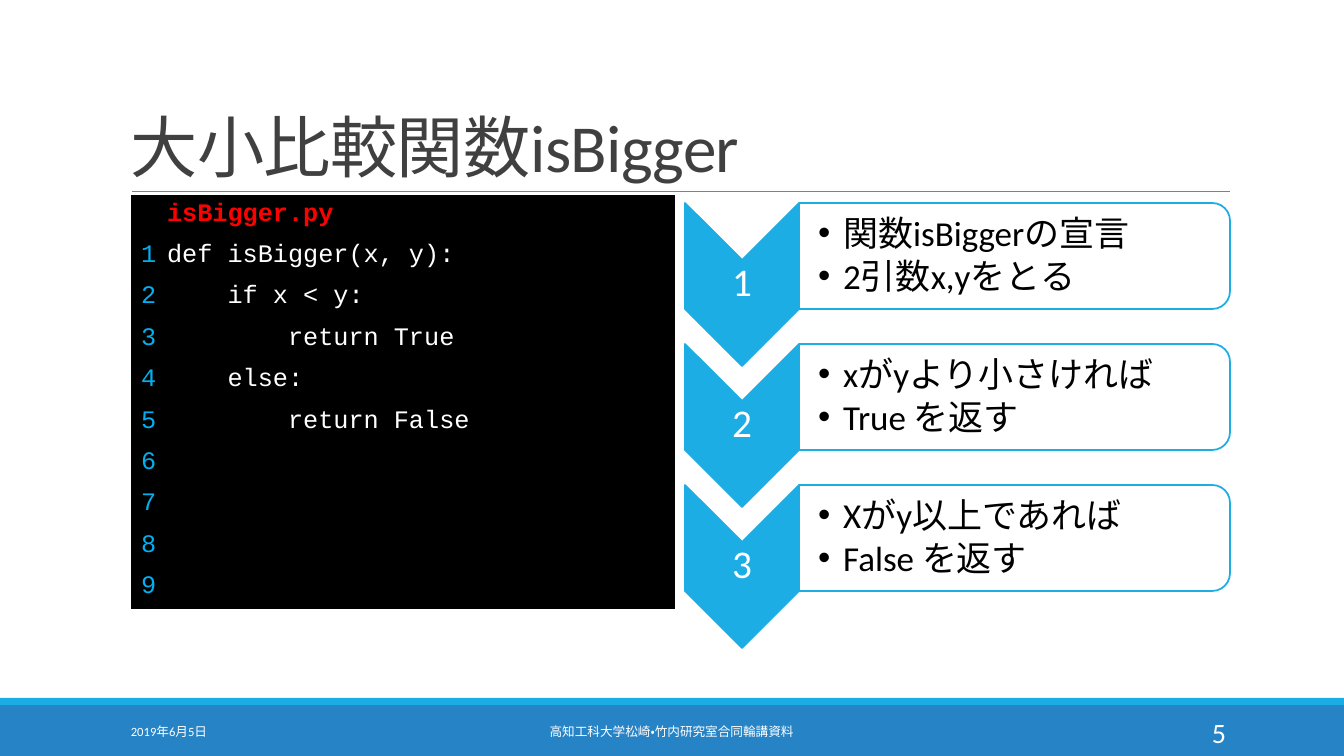
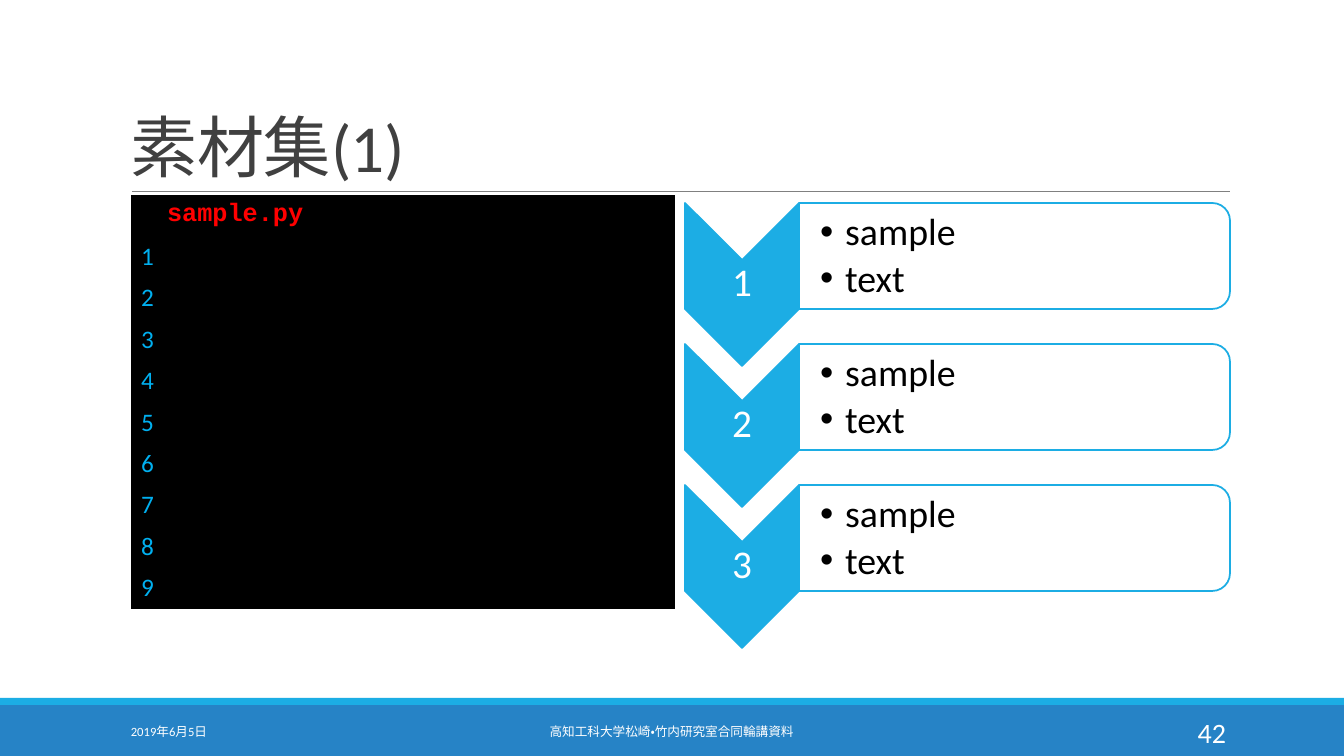
from lxml import etree
from pptx import Presentation
from pptx import util as u
from pptx.dml.color import RGBColor
from pptx.enum import lang, shapes, text
from pptx.oxml.ns import qn

COLORS = {
    "band": "2683C6", "accent": "1CADE4", "rule": "808080", "title": "404040",
    "white": "FFFFFF", "black": "000000", "file": "FF0000", "number": "00B0F0",
}
SCALE = 914400 / 100.8
NO_GRID = "{2D5ABB26-0587-4C30-8999-92F81FD0307C}"
CENTER, RIGHT = text.PP_ALIGN.CENTER, text.PP_ALIGN.RIGHT
MIDDLE, BOTTOM = text.MSO_ANCHOR.MIDDLE, text.MSO_ANCHOR.BOTTOM


def px(length):
    return u.Emu(round(length * SCALE))


def rgb(name):
    return RGBColor.from_string(COLORS[name])


def add_bullet(paragraph):
    properties = paragraph._p.get_or_add_pPr()
    properties.set("marL", str(u.Inches(0.25)))
    properties.set("indent", str(-u.Inches(0.25)))
    etree.SubElement(properties, qn("a:buFont"), typeface="Arial")
    etree.SubElement(properties, qn("a:buChar"), char="•")


def write(frame, lines, size=18, color="white", font="Calibri", bold=False, align=None,
          leading=None, after=None, tracking=None, bullet=False):
    for index, line in enumerate(lines):
        paragraph = frame.add_paragraph() if index else frame.paragraphs[0]
        paragraph.alignment = align
        paragraph.line_spacing = leading
        if after is not None:
            paragraph.space_after = u.Pt(after * size)
        if bullet:
            add_bullet(paragraph)
        run = paragraph.add_run()
        run.text = line
        run.font.size = u.Pt(size)
        run.font.name = font
        run.font.bold = bold
        run.font.color.rgb = rgb(color)
        run.font.language_id = lang.MSO_LANGUAGE_ID.JAPANESE
        if tracking is not None:
            run.font._element.set("spc", str(tracking))


class Deck:
    def __init__(self):
        self.prs = Presentation()
        self.prs.slide_width, self.prs.slide_height = px(1344), px(756)
        self.slide = None

    def shape(self, kind, x, y, w, h, fill, outline=None, alpha=None):
        item = self.slide.shapes.add_shape(kind, px(x), px(y), px(w), px(h))
        item.shadow.inherit = False
        item.fill.solid()
        item.fill.fore_color.rgb = rgb(fill)
        if alpha:
            tint = item.fill._xPr.find(qn("a:solidFill"))[0]
            etree.SubElement(tint, qn("a:alpha"), val=str(alpha * 1000))
        if outline:
            item.line.color.rgb = rgb(outline)
            item.line.width = u.Pt(1.25)
        else:
            item.line.fill.background()
        return item

    def turned(self, kind, x, y, w, h, fill, **style):
        shift = (w - h) / 2
        item = self.shape(kind, x + shift, y - shift, h, w, fill, outline="accent", **style)
        item.rotation = 90

    def rule(self, x1, x2, y):
        line = self.slide.shapes.add_connector(
            shapes.MSO_CONNECTOR.STRAIGHT, px(x1), px(y), px(x2), px(y))
        line.line.color.rgb = rgb("rule")
        line.line.width = u.Pt(0.5)
        etree.SubElement(line._element.spPr, qn("a:effectLst"))

    def label(self, x, y, w, h, lines, anchor=MIDDLE, insets=None, **style):
        frame = self.slide.shapes.add_textbox(px(x), px(y), px(w), px(h)).text_frame
        frame.word_wrap = True
        frame.vertical_anchor = anchor
        if insets:
            frame.margin_left, *_ = [px(inset) for inset in insets]
            frame.margin_top = frame.margin_right = frame.margin_bottom = px(insets[1])
        write(frame, lines, **style)

    def page(self, title, number):
        self.slide = self.prs.slides.add_slide(self.prs.slide_layouts[6])
        rectangle = shapes.MSO_SHAPE.RECTANGLE
        self.shape(rectangle, 0, 705, 1344, 51, "band")
        self.shape(rectangle, 0, 698, 1344, 7, "accent")
        self.rule(132, 1230, 191)
        self.label(121, 31, 1109, 160, [title], anchor=BOTTOM, size=48, color="title",
                   leading=0.85, tracking=-50)
        self.label(121, 712, 272, 40, ["2019年6月5日"], size=9)
        self.label(406, 712, 531, 40, ["高知工科大学松崎・竹内研究室合同輪講資料"],
                   size=9, align=CENTER)
        self.label(1092, 712, 144, 40, [str(number)], size=20, align=RIGHT)

    def cell(self, cell, line, **style):
        cell.fill.solid()
        cell.fill.fore_color.rgb = rgb("black")
        if line:
            write(cell.text_frame, [line], **style)

    def listing(self, filename, code, number_font):
        rows = 10
        holder = self.slide.shapes.add_table(rows, 2, px(131), px(195), px(544), px(414))
        table = holder.table
        table.first_row = table.horz_banding = False
        table._tbl.tblPr.find(qn("a:tableStyleId")).text = NO_GRID
        table.columns[0].width, table.columns[1].width = px(26), px(518)
        for row in range(rows):
            table.rows[row].height = px(414 / rows)
            gutter, source = table.cell(row, 0), table.cell(row, 1)
            gutter.margin_right = 0
            self.cell(gutter, str(row) if row else "", color="number", font=number_font)
            line = code[row - 1] if 0 < row <= len(code) else ""
            if row:
                self.cell(source, line, font="Courier New")
            else:
                self.cell(source, filename, color="file", font="Courier New", bold=True)

    def steps(self, notes, size, inset):
        for index, lines in enumerate(notes):
            top = 203 + 141 * index
            self.turned(shapes.MSO_SHAPE.CHEVRON, 685, top, 114, 163, "accent")
            self.label(685, top + 57, 114, 48, [str(index + 1)], insets=(2, 2),
                       size=28, align=CENTER, leading=0.9)
            self.turned(shapes.MSO_SHAPE.ROUND_2_SAME_RECTANGLE, 799, top, 431, 106,
                        "white", alpha=90)
            self.label(799, top + 6, 425, 95, lines, insets=(inset, 2), size=size,
                       color="black", leading=0.9, after=0.15, bullet=True)


deck = Deck()

deck.page("大小比較関数isBigger", 5)
deck.listing("isBigger.py", [
    "def isBigger(x, y):",
    "    if x < y:",
    "        return True",
    "    else:",
    "        return False",
], "Courier New")
deck.steps([
    ["関数isBiggerの宣言", "2引数x,yをとる"],
    ["xがyより小さければ", "True を返す"],
    ["Xがy以上であれば", "False を返す"],
], 25, 19)

deck.page("素材集(1)", 42)
deck.listing("sample.py", [], "Calibri")
deck.steps([["sample", "text"]] * 3, 27, 21)

deck.prs.save("out.pptx")
